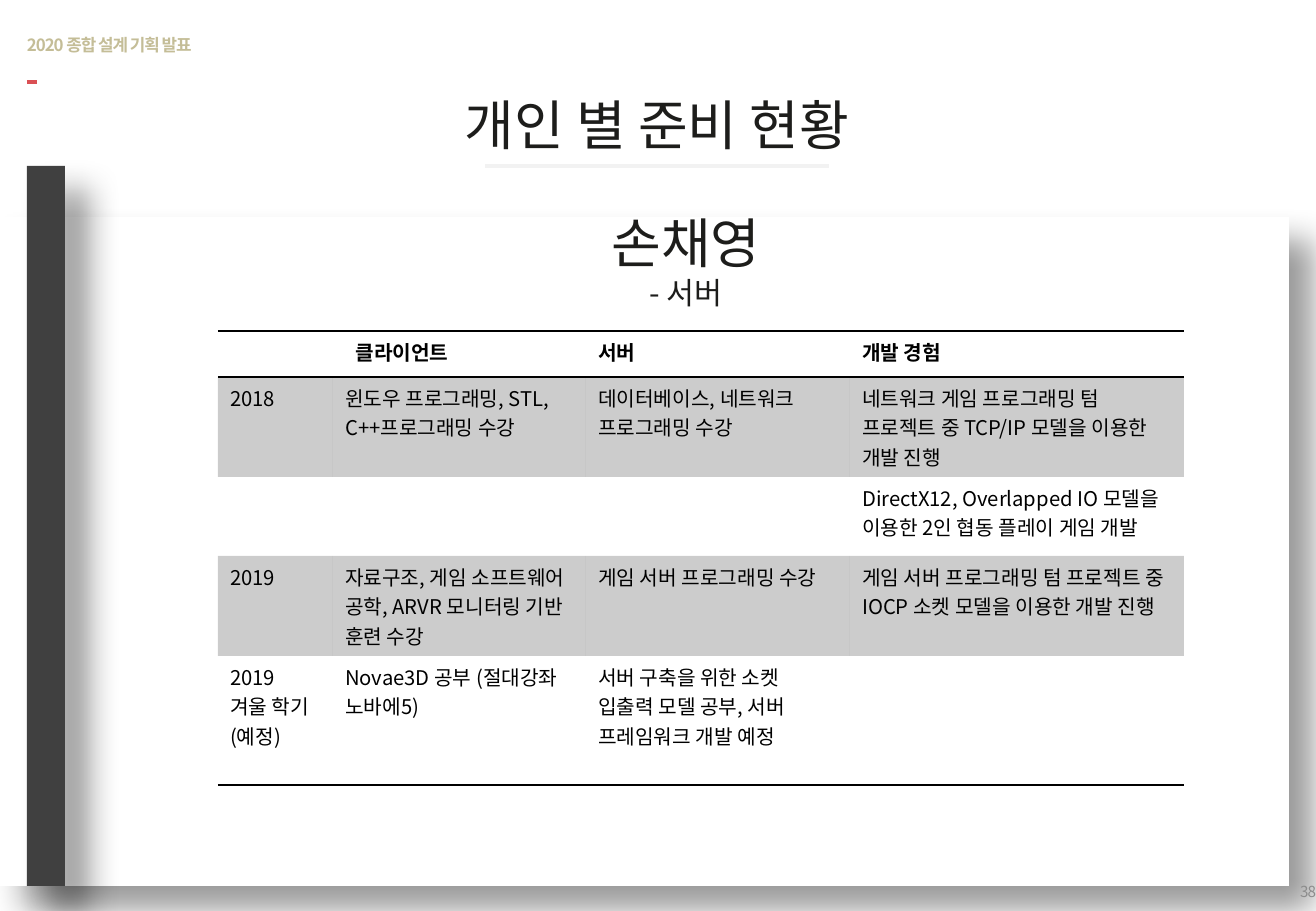
from lxml import etree
from pptx import Presentation
from pptx import util as u
from pptx.dml.color import RGBColor
from pptx.enum import shapes, text
from pptx.oxml.ns import qn

# Content
HEADING = "2020 종합 설계 기획 발표"
TITLE = "개인 별 준비 현황"
MEMBER, ROLE = "손채영", "- 서버"
PAGE_NUMBER = "38"
HEADER = ["클라이언트", "", "서버", "개발 경험"]
ROWS = [
    ["2018", "윈도우 프로그래밍, STL, C++프로그래밍 수강",
     "데이터베이스, 네트워크 프로그래밍 수강",
     "네트워크 게임 프로그래밍 텀 프로젝트 중 TCP/IP 모델을 이용한 개발 진행"],
    ["", "", "", "DirectX12, Overlapped IO 모델을 이용한 2인 협동 플레이 게임 개발"],
    ["2019", "자료구조, 게임 소프트웨어 공학, ARVR 모니터링 기반 훈련 수강",
     "게임 서버 프로그래밍 수강",
     "게임 서버 프로그래밍 텀 프로젝트 중 IOCP 소켓 모델을 이용한 개발 진행"],
    ["2019\n겨울 학기 (예정)", "Novae3D 공부 (절대강좌 노바에5)",
     "서버 구축을 위한 소켓 입출력 모델 공부, 서버 프레임워크 개발 예정", ""],
]
COLUMN_WIDTHS = [115, 253, 264, 334]
ROW_HEIGHTS = [46, 100, 79, 100, 129]

FONT = "Noto Sans CJK KR"
INK, BLACK = "1D1D1B", "000000"
NO_GRID_STYLE = "{2D5ABB26-0587-4C30-8999-92F81FD0307C}"
SCALE = 914400 / 121.5


def px(length):
    return u.Emu(round(length * SCALE))


def colour(value):
    return RGBColor.from_string(value)


def child(parent, tag, **attributes):
    return etree.SubElement(parent, qn(tag), {k: str(v) for k, v in attributes.items()})


def add_span(para, words, size=12, color=BLACK, bold=False, spacing=None):
    span = para.add_run()
    span.text = words
    span.font.size = u.Pt(size)
    span.font.bold = bold
    span.font.color.rgb = colour(color)
    span.font.name = FONT
    properties = span.font._element
    child(properties, "a:ea", typeface=FONT)
    if spacing is not None:
        properties.set("spc", str(spacing))


def add_text(page, at, spans, align="LEFT", after=0, inset=True):
    """Each span is (words, format); spans are stacked by line breaks."""
    box = page.shapes.add_textbox(*map(px, at))
    frame = box.text_frame
    frame.word_wrap = True
    frame.vertical_anchor = text.MSO_ANCHOR.MIDDLE
    if not inset:
        frame.margin_left = frame.margin_right = 0
        frame.margin_top = frame.margin_bottom = 0
    para = frame.paragraphs[0]
    para.alignment = getattr(text.PP_ALIGN, align)
    para.space_after = u.Pt(after)
    for index, (words, style) in enumerate(spans):
        if index:
            para.add_line_break()
        add_span(para, words, **style)


def add_rule(page, left, right, y, color, width):
    rule = page.shapes.add_connector(
        shapes.MSO_CONNECTOR.STRAIGHT, px(left), px(y), px(right), px(y))
    rule.line.color.rgb = colour(color)
    rule.line.width = u.Pt(width)
    child(rule._element.spPr, "a:effectLst")


def add_panel(page, at, color):
    panel = page.shapes.add_shape(shapes.MSO_SHAPE.RECTANGLE, *map(px, at))
    panel.fill.solid()
    panel.fill.fore_color.rgb = colour(color)
    panel.line.fill.background()
    panel.shadow.inherit = False
    effects = panel._element.spPr.find(qn("a:effectLst"))
    shadow = child(effects, "a:outerShdw", blurRad=u.Pt(19), dist=u.Pt(20),
                   dir=45 * 60000, algn="tl", rotWithShape=0)
    child(child(shadow, "a:srgbClr", val=BLACK), "a:alpha", val=40000)


def add_border(cell, side):
    line = child(cell._tc.get_or_add_tcPr(), side, w=u.Pt(1))
    child(child(line, "a:solidFill"), "a:srgbClr", val=BLACK)


def add_plan(page, left, top):
    frame = page.shapes.add_table(len(ROWS) + 1, len(HEADER), px(left), px(top),
                                  px(sum(COLUMN_WIDTHS)), px(sum(ROW_HEIGHTS)))
    table = frame.table
    table.first_row = table.horz_banding = False
    table._tbl.tblPr.find(qn("a:tableStyleId")).text = NO_GRID_STYLE
    for column, width in zip(table.columns, COLUMN_WIDTHS):
        column.width = px(width)
    for row, height in zip(table.rows, ROW_HEIGHTS):
        row.height = px(height)
    table.cell(0, 0).merge(table.cell(0, 1))

    for r, row in enumerate([HEADER] + ROWS):
        for c, words in enumerate(row):
            cell = table.cell(r, c)
            # Borders: above and below the header, and under the last row
            if r == 0:
                add_border(cell, "a:lnT")
            if r in (0, len(ROWS)):
                add_border(cell, "a:lnB")
            # Odd rows are shaded
            if r % 2:
                cell.fill.solid()
                cell.fill.fore_color.rgb = colour(BLACK)
                shade = cell._tc.tcPr.find(qn("a:solidFill"))[0]
                child(shade, "a:alpha", val=20000)
            else:
                cell.fill.background()
            for index, line in enumerate(words.split("\n") if words else []):
                paragraphs = cell.text_frame.paragraphs
                para = cell.text_frame.add_paragraph() if index else paragraphs[0]
                add_span(para, line, bold=r == 0)
    table.cell(0, 0).text_frame.paragraphs[0].alignment = text.PP_ALIGN.CENTER


def main():
    deck = Presentation()
    deck.slide_width, deck.slide_height = px(1316), px(911)
    page = deck.slides.add_slide(deck.slide_layouts[6])

    # Heading and title
    add_rule(page, 27, 37, 82, "DA5054", 2)
    add_text(page, (174, 101, 966, 46), [(TITLE, dict(size=32, color=INK))],
             align="CENTER", after=3)
    add_rule(page, 485, 829, 166, "F2F2F2", 2.25)
    add_text(page, (27, 16, 363, 57),
             [(HEADING, dict(size=10, color="C4BD97", bold=True, spacing=-60))],
             inset=False)

    # White panel and dark side bar
    add_panel(page, (0, 217, 1289, 669), "FFFFFF")
    add_panel(page, (27, 166, 38, 720), "404040")
    add_text(page, (1261, 873, 55, 38),
             [(PAGE_NUMBER, dict(size=9, color="8C8C8C", spacing=-60))],
             align="RIGHT", inset=False)

    # Preparation table and member name
    add_plan(page, 218, 331)
    add_text(page, (203, 237, 966, 46),
             [(MEMBER, dict(size=32, color=INK)), (ROLE, dict(size=18, color=INK))],
             align="CENTER", after=3)
    deck.save("out.pptx")


if __name__ == "__main__":
    main()
